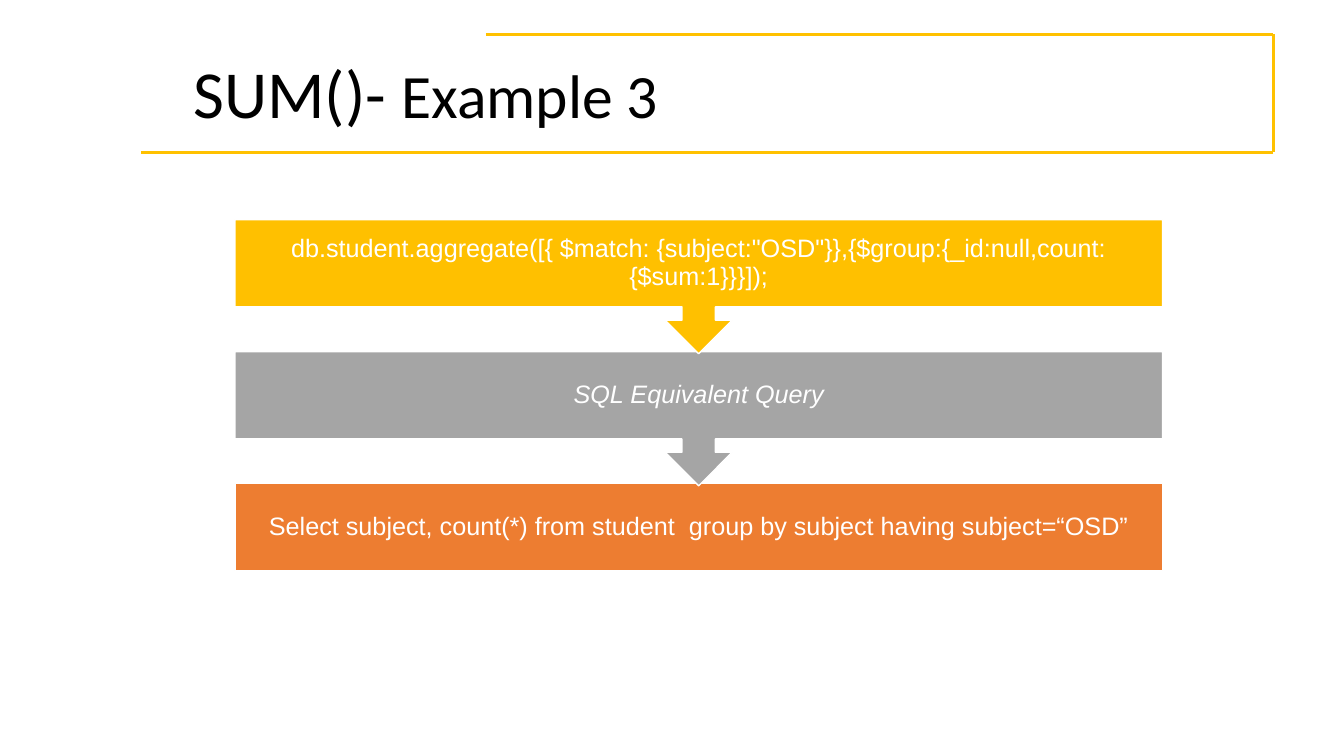
from lxml.etree import SubElement
from pptx import Presentation
from pptx.dml.color import RGBColor
from pptx.enum.shapes import MSO_CONNECTOR, MSO_SHAPE
from pptx.enum.text import MSO_ANCHOR, PP_ALIGN
from pptx.oxml.ns import qn
from pptx.util import Inches, Pt

COLORS = {
    "frame": "FFC100",
    "title": "000000",
    "mongo": "FFC000",
    "bridge": "A5A5A5",
    "sql": "ED7D31",
    "white": "FFFFFF",
}
FRAME_POINTS = [(4.82, 0.34), (12.63, 0.34), (12.63, 1.51), (1.4, 1.51)]
STEPS = [
    ('db.student.aggregate([{ $match: {subject:"OSD"}},'
     '{$group:{_id:null,count:{$sum:1}}}]);', "mongo", False),
    ("SQL Equivalent Query", "bridge", True),
    ("Select subject, count(*) from student  group by subject "
     "having subject=“OSD”", "sql", False),
]
STEP_LEFT, STEP_TOP, STEP_WIDTH, STEP_PITCH = 2.33, 2.18, 9.2, 1.31
BOX_HEIGHT, CALLOUT_HEIGHT = 0.86, 1.33


def color(name):
    return RGBColor.from_string(COLORS[name])


def set_margins(frame, margin):
    frame.margin_left = frame.margin_right = Inches(margin)
    frame.margin_top = frame.margin_bottom = Inches(margin)


def add_frame_line(slide, start, end):
    edge = slide.shapes.add_connector(
        MSO_CONNECTOR.STRAIGHT, *(Inches(v) for v in start + end))
    edge.line.color.rgb = color("frame")
    edge.line.width = Pt(2)
    SubElement(edge._element.spPr, qn("a:effectLst"))


def add_title(slide):
    title = slide.shapes.add_textbox(
        Inches(1.92), Inches(0.49), Inches(4.72), Inches(0.83))
    frame = title.text_frame
    frame.word_wrap = True
    frame.vertical_anchor = MSO_ANCHOR.MIDDLE
    set_margins(frame, 0)
    paragraph = frame.paragraphs[0]
    paragraph.font.name = "Calibri"
    paragraph.font.color.rgb = color("title")
    for text, size in (("SUM()- ", 48), ("Example 3", 44)):
        run = paragraph.add_run()
        run.text = text
        run.font.size = Pt(size)


def add_step(slide, index, text, fill, italic):
    is_last = index == len(STEPS) - 1
    kind = MSO_SHAPE.RECTANGLE if is_last else MSO_SHAPE.DOWN_ARROW_CALLOUT
    height = BOX_HEIGHT if is_last else CALLOUT_HEIGHT
    step = slide.shapes.add_shape(
        kind, Inches(STEP_LEFT), Inches(STEP_TOP + index * STEP_PITCH),
        Inches(STEP_WIDTH), Inches(height))
    if not is_last:
        for i, ratio in enumerate((0.25, 0.25, 0.25, 0.65)):
            step.adjustments[i] = ratio
    step.shadow.inherit = False
    step.fill.solid()
    step.fill.fore_color.rgb = color(fill)
    step.line.color.rgb = color("white")
    step.line.width = Pt(1)
    frame = step.text_frame
    frame.word_wrap = True
    frame.vertical_anchor = MSO_ANCHOR.MIDDLE
    set_margins(frame, 0.14)
    paragraph = frame.paragraphs[0]
    paragraph.text = text
    paragraph.alignment = PP_ALIGN.CENTER
    paragraph.line_spacing = 0.9
    paragraph.font.name = "Arial"
    paragraph.font.size = Pt(18)
    paragraph.font.italic = italic
    paragraph.font.color.rgb = color("white")


def main():
    prs = Presentation()
    prs.slide_width, prs.slide_height = Inches(13.33), Inches(7.5)
    slide = prs.slides.add_slide(prs.slide_layouts[6])
    for start, end in zip(FRAME_POINTS, FRAME_POINTS[1:]):
        add_frame_line(slide, start, end)
    add_title(slide)
    for index, step in reversed(list(enumerate(STEPS))):
        add_step(slide, index, *step)
    prs.save("out.pptx")


if __name__ == "__main__":
    main()
